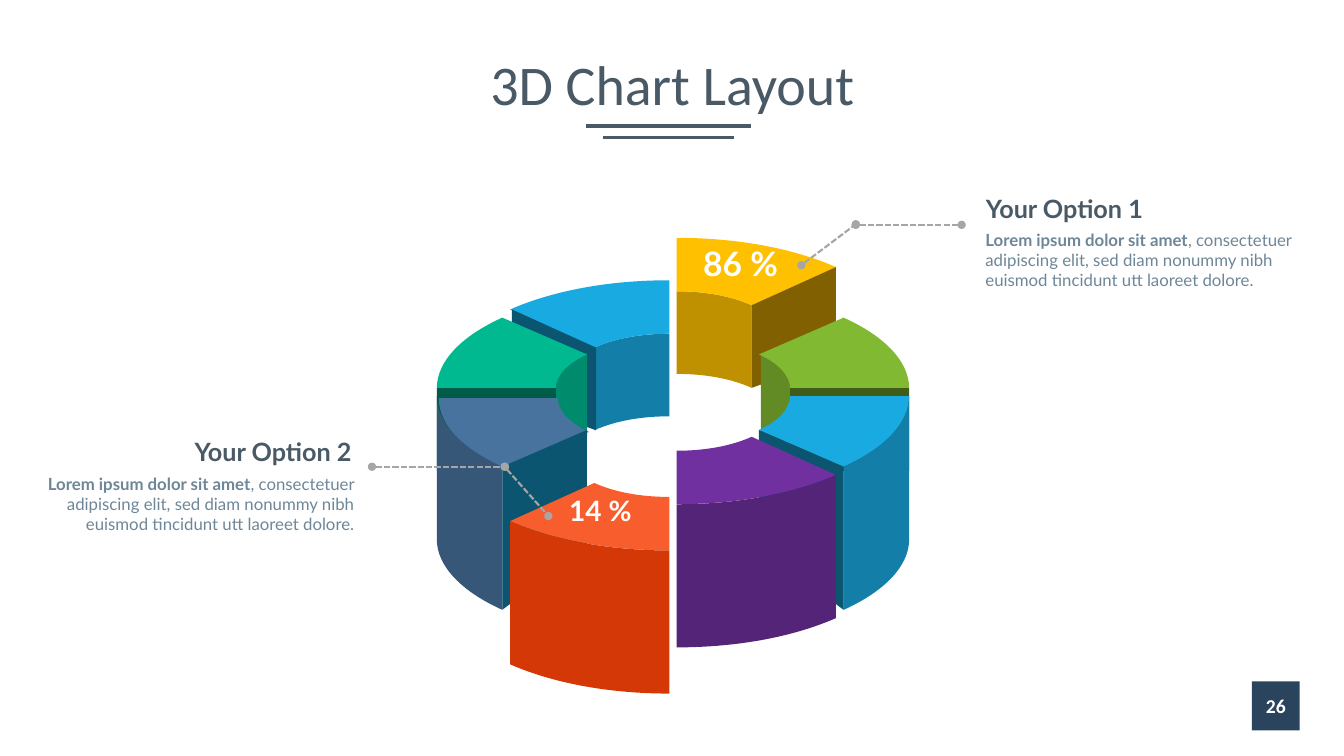
from dataclasses import dataclass

from lxml.etree import SubElement
from pptx import Presentation
from pptx.dml.color import RGBColor
from pptx.enum.dml import MSO_LINE
from pptx.enum.shapes import MSO_CONNECTOR, MSO_SHAPE
from pptx.enum.text import MSO_ANCHOR, MSO_AUTO_SIZE, PP_ALIGN
from pptx.oxml.ns import qn
from pptx.util import Pt


@dataclass(frozen=True)
class Theme:
    heading_font: str = "Calibri"
    body_font: str = "Lato"
    ink: str = "495A66"
    muted: str = "6E8798"
    leader: str = "A6A6A6"
    badge: str = "2A445D"
    white: str = "FFFFFF"
    title_size: float = 40
    option_size: float = 18
    body_size: float = 12
    badge_size: float = 14


THEME = Theme()

TITLE = "3D Chart Layout"
PAGE_NUMBER = "26"
LEAD = "Lorem ipsum dolor sit amet"
REST = (", consectetuer adipiscing elit, sed diam nonummy nibh "
        "euismod tincidunt utt laoreet dolore.")

# heading, heading left and top, body left and top, alignment, leader lines
OPTIONS = [
    ("Your Option 1", (694.8, 138.2), (696.8, 160.6), PP_ALIGN.LEFT,
     [(611.3, 160.6, 686.9, 160.6), (572.4, 189.4, 611.3, 160.2)]),
    ("Your Option 2", (68.4, 311.8), (17.7, 334.8), PP_ALIGN.RIGHT,
     [(265.7, 333.4, 360.7, 333.4), (360.4, 333.4, 391.7, 368.6)]),
]
TITLE_RULES = [(418.8, 90, 536.4, 90), (430.6, 98.1, 524.2, 98.1)]

# Bezier arcs of one wedge, measured from the outer end of its straight edge
WEDGE_ARCS = {
    "pole": {"outer": [(0, 0), (44.6, 0), (84.2, 7.9), (113.8, 20.9)],
             "inner": [(53.6, 48.2), (39.6, 41.8), (20.9, 38.2), (0, 38.2)]},
    "side": {"outer": [(0, 0), (0, 19.4), (18, 37.4), (46.8, 50.4)],
             "inner": [(107.3, 24.1), (93.6, 18), (85, 9), (85, 0)]},
}

# Each wall hangs from an edge, with a drop at the edge's start and end
WALLS = {
    "inner wall": ("inner", 59, 59),
    "outer wall": ("outer", 102.2, 102.2),
    "back cut": ("tip", 64.8, 59),
    "front cut": ("tip", 102.2, 82.8),
    "level cut": ("axis", 59, 59),
}

# name, arcs, anchor, direction, faces from back to front
WEDGES = [
    ("sky", "pole", (478.1, 200.2), (-1, 1),
     {"inner wall": "137FA9", "top": "19AAE1", "back cut": "0C5570"}),
    ("yellow", "pole", (483.3, 169.9), (1, 1),
     {"inner wall": "BF9000", "top": "FFC000", "back cut": "806000"}),
    ("green", "side", (649.4, 277.3), (-1, -1),
     {"inner wall": "628B26", "top": "82B932", "level cut": "415C19"}),
    ("teal", "side", (312, 277.3), (1, -1),
     {"inner wall": "008B6D", "top": "00B991", "level cut": "005C48"}),
    ("slate", "side", (312, 283), (1, 1),
     {"top": "47739E", "outer wall": "365777", "front cut": "0C5570"}),
    ("azure", "side", (649.4, 283), (-1, 1),
     {"top": "19AAE1", "outer wall": "137FA9", "front cut": "0C5570"}),
    ("purple", "pole", (483.3, 360.2), (1, -1),
     {"top": "7030A0", "outer wall": "542478"}),
    ("orange", "pole", (478.1, 393.2), (-1, -1),
     {"top": "F85D2D", "outer wall": "D53807"}),
]
FACE_SHIFTS = {("sky", "back cut"): (1.4, 0), ("slate", "top"): (1.4, 1.4),
               ("green", "inner wall"): (1.4, 0), ("teal", "inner wall"): (0, -0.7)}
# text, size, left margin, top margin
WEDGE_LABELS = {"yellow": ("86 %", 24, 19, 3.6), "orange": ("14 %", 20, 42.3, 7.6)}


def color(value):
    return RGBColor.from_string(value)


def apply(target, **values):
    for name, value in values.items():
        setattr(target, name, value)


def add_run(paragraph, text, size, value, font=THEME.body_font, bold=True):
    run = paragraph.add_run()
    run.text = text
    apply(run.font, name=font, size=Pt(size), bold=bold)
    run.font.color.rgb = color(value)


def paint(shape, value):
    shape.shadow.inherit = False
    shape.fill.solid()
    shape.fill.fore_color.rgb = color(value)
    shape.line.fill.background()


def add_text_box(slide, position, size, alignment, **frame_values):
    """Add a wrapping box that grows with its text; return its first paragraph."""
    box = slide.shapes.add_textbox(*map(Pt, position + size))
    apply(box.text_frame, word_wrap=True, auto_size=MSO_AUTO_SIZE.SHAPE_TO_FIT_TEXT,
          **frame_values)
    paragraph = box.text_frame.paragraphs[0]
    paragraph.alignment = alignment
    return paragraph


def add_line(slide, ends, value, width, dotted_ends=False):
    line = slide.shapes.add_connector(MSO_CONNECTOR.STRAIGHT, *map(Pt, ends))
    line.line.color.rgb = color(value)
    line.line.width = Pt(width)
    if dotted_ends:
        line.line.dash_style = MSO_LINE.SQUARE_DOT
        outline = line.line._get_or_add_ln()
        for tag in ("a:headEnd", "a:tailEnd"):
            SubElement(outline, qn(tag), type="oval")
    SubElement(line._element.spPr, qn("a:effectLst"))


def wedge_edges(kind, anchor, direction):
    edges = {name: [(anchor[0] + direction[0] * x, anchor[1] + direction[1] * y)
                    for x, y in arc]
             for name, arc in WEDGE_ARCS[kind].items()}
    edges["tip"] = [edges["outer"][-1], edges["inner"][0]]
    edges["axis"] = [edges["outer"][0], edges["inner"][-1]]
    return edges


def face_edges(edges, face):
    """Return the two opposite edges of a face, in drawing order."""
    if face == "top":
        return edges["outer"], edges["inner"]
    edge_name, first_drop, last_drop = WALLS[face]
    edge = edges[edge_name]
    slope = (last_drop - first_drop) / (len(edge) - 1)
    foot = [(x, y + first_drop + slope * i) for i, (x, y) in enumerate(edge)]
    return edge, foot[::-1]


def bend(line_steps):
    """Turn three straight path steps into one Bezier step."""
    first = line_steps[0]
    curve = first.makeelement(qn("a:cubicBezTo"))
    first.addprevious(curve)
    for step in line_steps:
        curve.append(step[0])
        step.getparent().remove(step)


def add_face(slide, near, far, shift, value):
    points = [(Pt(x + shift[0]), Pt(y + shift[1])) for x, y in near + far]
    builder = slide.shapes.build_freeform(*points[0])
    builder.add_line_segments(points[1:], close=True)
    shape = builder.convert_to_shape()
    if len(near) == 4:
        steps = list(shape._element.iter(qn("a:lnTo")))
        bend(steps[:3])
        bend(steps[4:7])
    paint(shape, value)
    return shape


def add_level_cut(slide, near, far, value):
    columns, rows = zip(*near, *far)
    left, top = min(columns), min(rows)
    shape = slide.shapes.add_shape(
        MSO_SHAPE.RECTANGLE,
        *map(Pt, (left, top, max(columns) - left, max(rows) - top)))
    paint(shape, value)


def label_wedge(shape, text, size, left, top):
    apply(shape.text_frame, word_wrap=True, vertical_anchor=MSO_ANCHOR.TOP,
          margin_left=Pt(left), margin_top=Pt(top), margin_right=0, margin_bottom=0)
    paragraph = shape.text_frame.paragraphs[0]
    paragraph.alignment = PP_ALIGN.LEFT
    add_run(paragraph, text, size, THEME.white)


def add_title(slide):
    title = slide.shapes.title
    apply(title, left=Pt(66.2), top=Pt(34.6), width=Pt(828), height=Pt(56.2))
    apply(title.text_frame, vertical_anchor=MSO_ANCHOR.MIDDLE, word_wrap=True)
    paragraph = title.text_frame.paragraphs[0]
    apply(paragraph, alignment=PP_ALIGN.CENTER, line_spacing=0.9)
    add_run(paragraph, TITLE, THEME.title_size, THEME.ink, THEME.heading_font, False)
    for ends in TITLE_RULES:
        add_line(slide, ends, THEME.ink, 2.25)


def add_page_badge(slide):
    badge = slide.shapes.add_shape(
        MSO_SHAPE.RECTANGLE, *map(Pt, (894.2, 486.7, 34.2, 35)))
    paint(badge, THEME.badge)
    apply(badge.text_frame, margin_left=0, margin_right=0,
          vertical_anchor=MSO_ANCHOR.MIDDLE)
    paragraph = badge.text_frame.paragraphs[0]
    paragraph.alignment = PP_ALIGN.CENTER
    add_run(paragraph, PAGE_NUMBER, THEME.badge_size, THEME.white, THEME.heading_font)


def add_wedge(slide, name, kind, anchor, direction, faces):
    edges = wedge_edges(kind, anchor, direction)
    for face, value in faces.items():
        near, far = face_edges(edges, face)
        if face == "level cut":
            add_level_cut(slide, near, far, value)
            continue
        shape = add_face(slide, near, far, FACE_SHIFTS.get((name, face), (0, 0)), value)
        if face == "top" and name in WEDGE_LABELS:
            label_wedge(shape, *WEDGE_LABELS[name])


def add_option(slide, heading, heading_at, body_at, alignment, leaders):
    for ends in leaders:
        add_line(slide, ends, THEME.leader, 1.5, dotted_ends=True)
    paragraph = add_text_box(
        slide, heading_at, (192.2, 21.6), alignment, margin_left=Pt(9.4),
        margin_right=Pt(9.4), margin_top=0, margin_bottom=0,
        vertical_anchor=MSO_ANCHOR.MIDDLE)
    add_run(paragraph, heading, THEME.option_size, THEME.ink)
    paragraph = add_text_box(slide, body_at, (242.6, 51.1), alignment)
    add_run(paragraph, LEAD, THEME.body_size, THEME.muted)
    add_run(paragraph, REST, THEME.body_size, THEME.muted, bold=False)


def main():
    presentation = Presentation()
    apply(presentation, slide_width=Pt(960), slide_height=Pt(540))
    slide = presentation.slides.add_slide(presentation.slide_layouts[5])
    add_page_badge(slide)
    add_title(slide)
    for wedge in WEDGES:
        add_wedge(slide, *wedge)
    for option in OPTIONS:
        add_option(slide, *option)
    presentation.save("out.pptx")


if __name__ == "__main__":
    main()
